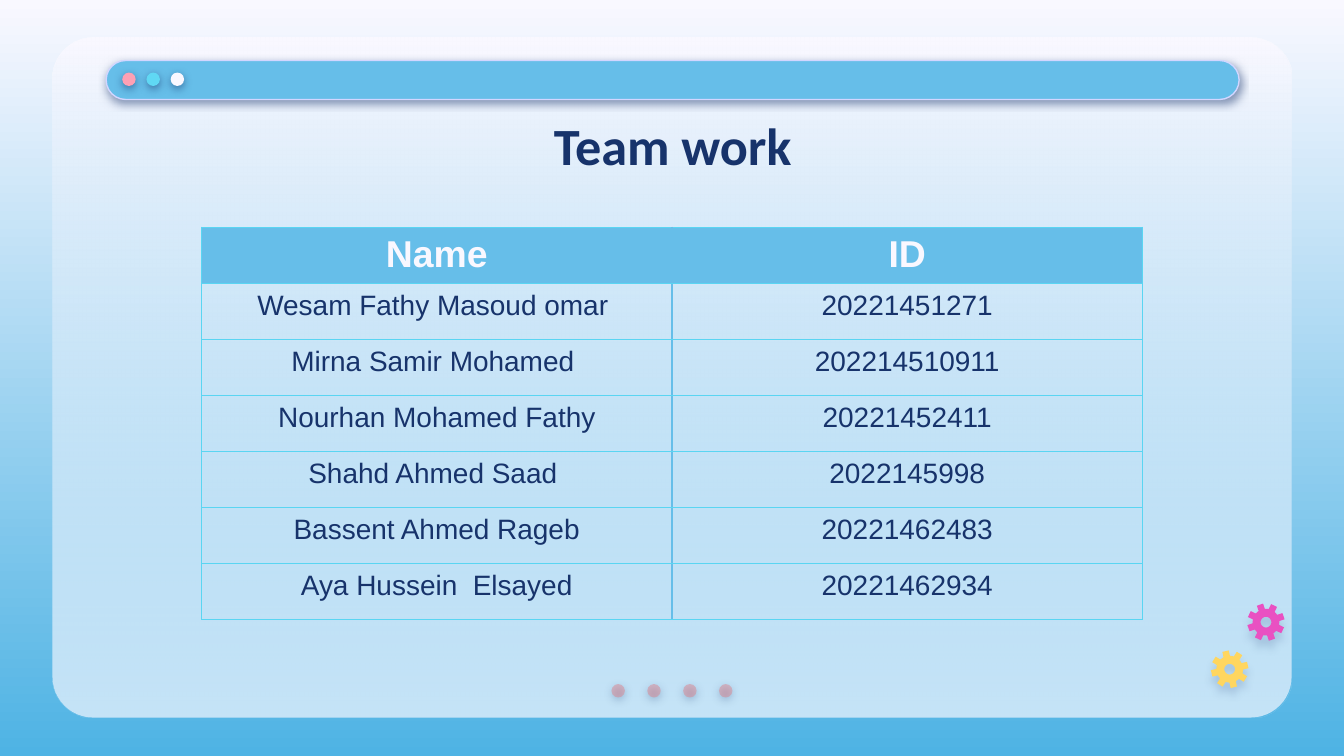
import math

import pptx
import pptx.dml.color
import pptx.enum.shapes
import pptx.enum.text
import pptx.oxml
import pptx.oxml.ns
import pptx.util
from pptx.util import Inches

COLORS = {
    "white": "F9F8FF", "sky": "4EB3E4", "blue": "66BEE9", "navy": "17336B",
    "cyan": "60D8F4", "grid": "5AD5F2", "lilac": "D2D6FF", "rose": "E27B83",
    "pink": "FDA0B4", "magenta": "E951C2", "yellow": "FFD65F",
}
ROWS = [
    (" Name ", "ID"),
    ("Wesam Fathy Masoud omar ", "20221451271"),
    ("Mirna Samir Mohamed ", "202214510911"),
    ("Nourhan Mohamed Fathy", "20221452411"),
    ("Shahd Ahmed Saad ", "2022145998"),
    ("Bassent Ahmed Rageb", "20221462483"),
    ("Aya Hussein  Elsayed", "20221462934"),
]
PLAIN_TABLE_STYLE = "{2D5ABB26-0587-4C30-8999-92F81FD0307C}"
OVAL = pptx.enum.shapes.MSO_SHAPE.OVAL
ROUNDED = pptx.enum.shapes.MSO_SHAPE.ROUNDED_RECTANGLE


def rgb(name):
    """Return the named color."""
    return pptx.dml.color.RGBColor.from_string(COLORS[name])


def parse(xml):
    """Parse a drawing fragment written with the a: prefix."""
    namespace = pptx.oxml.ns.nsdecls("a")
    return pptx.oxml.parse_xml(xml.replace(">", f" {namespace}>", 1))


def set_alpha(fill_parent, percent):
    """Make the last color below an element partly transparent."""
    color = list(fill_parent.iter(pptx.oxml.ns.qn("a:srgbClr")))[-1]
    color.append(parse(f'<a:alpha val="{percent * 1000}"></a:alpha>'))


def set_gradient(fill, top, bottom):
    """Fill from top to bottom with two colors."""
    fill.gradient()
    fill.gradient_angle = 270
    for stop, name in zip(fill.gradient_stops, (top, bottom)):
        stop.color.rgb = rgb(name)


def add_shadow(shape, opacity, distance):
    """Give a shape a soft shadow that falls straight down."""
    effects = shape._element.spPr.find(pptx.oxml.ns.qn("a:effectLst"))
    effects.append(parse(
        f'<a:outerShdw blurRad="{pptx.util.Pt(4.5)}" dist="{pptx.util.Pt(distance)}" '
        f'dir="5400000" algn="bl" rotWithShape="0"><a:srgbClr val="{COLORS["navy"]}">'
        f'<a:alpha val="{opacity * 1000}"/></a:srgbClr></a:outerShdw>'))


def paint(shape, color):
    """Give a shape a plain fill without line or inherited shadow."""
    shape.shadow.inherit = False
    shape.fill.solid()
    shape.fill.fore_color.rgb = rgb(color)
    shape.line.fill.background()


def add_shape(slide, kind, box, color, corner=None):
    """Add a filled preset shape."""
    shape = slide.shapes.add_shape(kind, *map(Inches, box))
    paint(shape, color)
    if corner is not None:
        shape.adjustments[0] = corner
    return shape


def add_panel(slide):
    """Add the large rounded panel and its tint."""
    box = (0.39, 0.28, 9.22, 5.06)
    add_shape(slide, ROUNDED, box, "white", 0.06)
    tint = add_shape(slide, ROUNDED, box, "white", 0.06)
    set_gradient(tint.fill, "white", "blue")
    set_alpha(tint._element.spPr, 35)


def add_bar(slide):
    """Add the window bar across the top of the panel."""
    bar = add_shape(slide, ROUNDED, (0.79, 0.45, 8.43, 0.29), "blue", 0.5)
    bar.line.color.rgb = rgb("lilac")
    bar.line.width = pptx.util.Pt(0.75)
    add_shadow(bar, 50, 1.5)


def add_dots(slide, first, last, top, colors, alpha=100):
    """Add a row of small dots spread evenly between two left edges."""
    step = (last - first) / (len(colors) - 1)
    for index, color in enumerate(colors):
        dot = add_shape(slide, OVAL, (first + index * step, top, 0.1, 0.1), color)
        if alpha < 100:
            set_alpha(dot._element.spPr, alpha)
        add_shadow(dot, 50, 1.5)


def add_gear(slide, center_x, center_y, turn, color, shadow_distance):
    """Add a gear with eight teeth and a round hole."""
    def point(radius, degrees):
        angle = math.radians(degrees)
        return (Inches(center_x + radius * math.cos(angle)),
                Inches(center_y + radius * math.sin(angle)))

    profile = [(0.1, -14), (0.14, -10), (0.14, 10), (0.1, 14)]
    rim = [point(radius, turn + tooth * 45 + offset)
           for tooth in range(8) for radius, offset in profile]
    hole = [point(0.04, -degrees) for degrees in range(0, 360, 15)]
    builder = slide.shapes.build_freeform(*rim[0])
    builder.add_line_segments(rim[1:])
    builder.move_to(*hole[0])
    builder.add_line_segments(hole[1:])
    gear = builder.convert_to_shape()
    paint(gear, color)
    add_shadow(gear, 16, shadow_distance)


def style_paragraph(paragraph, font_name, size, color, bold):
    """Center a paragraph and set its font."""
    paragraph.alignment = pptx.enum.text.PP_ALIGN.CENTER
    paragraph.font.name = font_name
    paragraph.font.size = pptx.util.Pt(size)
    paragraph.font.bold = bold
    paragraph.font.color.rgb = rgb(color)


def add_title(slide, text):
    """Add the slide title."""
    frame = slide.shapes.add_textbox(*map(Inches, (0.79, 0.76, 8.43, 0.63))).text_frame
    frame.word_wrap = True
    frame.vertical_anchor = pptx.enum.text.MSO_ANCHOR.MIDDLE
    frame.margin_top = frame.margin_bottom = Inches(0.1)
    frame.text = text
    style_paragraph(frame.paragraphs[0], "Calibri", 28, "navy", True)


def set_borders(cell, column):
    """Draw the grid, with a stronger line between the two columns."""
    properties = cell._tc.get_or_add_tcPr()
    inner = "R" if column == 0 else "L"
    for side in "LRTB":
        color, width = ("blue", 1) if side == inner else ("grid", 0.75)
        properties.append(parse(
            f'<a:ln{side} w="{pptx.util.Pt(width)}" cap="flat" cmpd="sng"><a:solidFill>'
            f'<a:srgbClr val="{COLORS[color]}"/></a:solidFill>'
            f'<a:prstDash val="solid"/></a:ln{side}>'))


def add_team_table(slide):
    """Add the table of team members."""
    frame = slide.shapes.add_table(len(ROWS), 2, *map(Inches, (1.5, 1.69, 7, 2.92)))
    table = frame.table
    table.first_row = table.horz_banding = False
    style = next(table._tbl.iter(pptx.oxml.ns.qn("a:tableStyleId")))
    style.text = PLAIN_TABLE_STYLE
    for row, values in enumerate(ROWS):
        for column, text in enumerate(values):
            cell = table.cell(row, column)
            cell.text = text
            cell.margin_bottom = Inches(0.02)
            set_borders(cell, column)
            paragraph = cell.text_frame.paragraphs[0]
            if row == 0:
                cell.fill.solid()
                cell.fill.fore_color.rgb = rgb("blue")
                style_paragraph(paragraph, "Arial", 20, "white", True)
            else:
                cell.fill.background()
                style_paragraph(paragraph, "Arial", 15, "navy", False)


def main():
    """Build the team slide."""
    presentation = pptx.Presentation()
    presentation.slide_width = Inches(10)
    presentation.slide_height = Inches(10) * 9 // 16
    slide = presentation.slides.add_slide(presentation.slide_layouts[6])
    set_gradient(slide.background.fill, "white", "sky")
    add_panel(slide)
    add_dots(slide, 4.55, 5.35, 5.09, ["rose"] * 4, 44)
    add_bar(slide)
    add_dots(slide, 0.91, 1.27, 0.54, ["pink", "cyan", "white"])
    add_title(slide, "Team work")
    add_gear(slide, 9.42, 4.63, 251, "magenta", 4.5)
    add_gear(slide, 9.15, 4.98, 257, "yellow", 3.8)
    add_team_table(slide)
    presentation.save("out.pptx")


if __name__ == "__main__":
    main()
